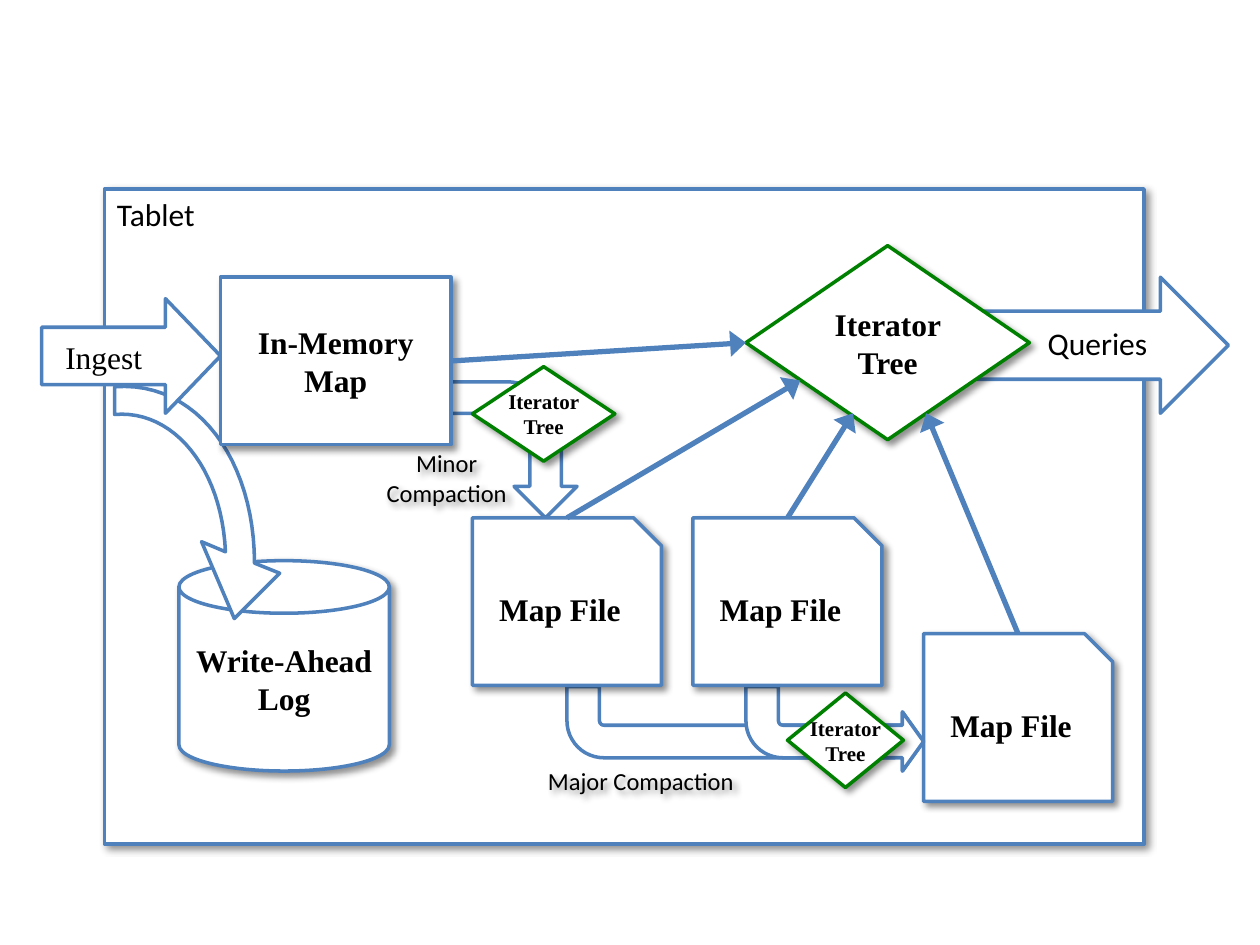
from lxml import etree
from pptx import Presentation
from pptx.dml.color import RGBColor
from pptx.enum.shapes import MSO_CONNECTOR, MSO_SHAPE
from pptx.enum.text import MSO_ANCHOR, PP_ALIGN
from pptx.oxml.ns import qn
from pptx.util import Inches, Pt

RECT, CAN, FILE = MSO_SHAPE.RECTANGLE, MSO_SHAPE.CAN, MSO_SHAPE.SNIP_1_RECTANGLE
DIAMOND = MSO_SHAPE.FLOWCHART_DECISION
ARROW, BENT = MSO_SHAPE.RIGHT_ARROW, MSO_SHAPE.BENT_ARROW
CENTER, LEFT = PP_ALIGN.CENTER, PP_ALIGN.LEFT
TOP, MIDDLE = MSO_ANCHOR.TOP, MSO_ANCHOR.MIDDLE
COLORS = {"blue": "4F81BD", "green": "008000", "white": "FFFFFF", "black": "000000"}
SERIF, SANS = "Times New Roman", "Calibri"
BOTTOM_BEND = (0.385, 0.35, 0.25, 0.4375)


def rgb(name):
    return RGBColor.from_string(COLORS[name])


def add_shadow(sp):
    effects = sp._element.spPr.find(qn("a:effectLst"))
    shadow = etree.SubElement(effects, qn("a:outerShdw"), blurRad=str(Pt(4)),
                              dist=str(Pt(3)), dir="2700000", rotWithShape="0")
    color = etree.SubElement(shadow, qn("a:srgbClr"), val=COLORS["black"])
    etree.SubElement(color, qn("a:alpha"), val="43000")


def style(sp, line="blue", shadow=False):
    sp.fill.solid()
    sp.fill.fore_color.rgb = rgb("white")
    sp.line.color.rgb = rgb(line)
    sp.line.width = Pt(2)
    sp.shadow.inherit = False
    if shadow:
        add_shadow(sp)


def write(sp, text, size=18, font=SERIF, bold=False, align=CENTER, anchor=MIDDLE):
    tf = sp.text_frame
    tf.word_wrap = True
    tf.vertical_anchor = anchor
    tf.text = text
    for p in tf.paragraphs:
        p.alignment = align
        p.font.size = Pt(size)
        p.font.name = font
        p.font.bold = bold
        p.font.color.rgb = rgb("black")


def add_node(s, kind, box, text, line="blue", **text_format):
    sp = s.shapes.add_shape(kind, *map(Inches, box))
    style(sp, line, shadow=True)
    write(sp, text, **text_format)
    return sp


def add_small_tree(s, box, text):
    sp = add_node(s, DIAMOND, box, text, "green", size=12, bold=True)
    sp.text_frame.margin_left = sp.text_frame.margin_right = 0
    return sp


def add_block_arrow(s, kind, box, adjustments=(), rotation=0, flip=False):
    sp = s.shapes.add_shape(kind, *map(Inches, box))
    style(sp)
    for i, value in enumerate(adjustments):
        sp.adjustments[i] = value
    sp.rotation = rotation
    if flip:
        sp._element.spPr.find(qn("a:xfrm")).set("flipV", "1")


def add_label(s, box, text, shadow=False, **text_format):
    sp = s.shapes.add_textbox(*map(Inches, box))
    write(sp, text, anchor=TOP, **text_format)
    if shadow:
        sp.shadow.inherit = False
        add_shadow(sp)


def curve(a, b, c, d, steps=24):
    """Points on a cubic Bezier curve."""
    ts = [i / steps for i in range(steps + 1)]
    return [tuple((1 - t) ** 3 * a[k] + 3 * t * (1 - t) ** 2 * b[k]
                  + 3 * t * t * (1 - t) * c[k] + t ** 3 * d[k] for k in (0, 1))
            for t in ts]


def add_log_arrow(s):
    outer = curve((0.91, 3.07), (1.57, 3.02), (2.02, 3.66), (2.02, 4.47))
    head = [(2.22, 4.55), (1.86, 4.91), (1.6, 4.3)]
    inner = curve((1.79, 4.38), (1.76, 3.72), (1.38, 3.25), (0.91, 3.29))
    # Freeform vertices are whole numbers, so they are given in EMU
    points = [(Inches(x), Inches(y)) for x, y in outer + head + inner]
    builder = s.shapes.build_freeform(*points[0])
    builder.add_line_segments(points[1:], close=True)
    style(builder.convert_to_shape())


def add_flow(s, source, site, tip, target=None):
    """Arrow from a side of source to tip, joined to target's left if given."""
    c = s.shapes.add_connector(MSO_CONNECTOR.STRAIGHT, 0, 0, *map(Inches, tip))
    c.begin_connect(source, site)
    if target is not None:
        c.end_connect(target, 1)
    c.line.color.rgb = rgb("blue")
    c.line.width = Pt(3)
    etree.SubElement(c.line._get_or_add_ln(), qn("a:tailEnd"), type="triangle", w="lg")
    etree.SubElement(c._element.spPr, qn("a:effectLst"))


def add_map_file(s, left, top):
    return add_node(s, FILE, (left, top, 1.5, 1.33), "Map File", bold=True)


def main():
    prs = Presentation()
    prs.slide_width, prs.slide_height = Inches(10), Inches(7.5)
    s = prs.slides.add_slide(prs.slide_layouts[6])

    add_node(s, RECT, (0.83, 1.5, 8.25, 5.2), "Tablet",
             font=SANS, align=LEFT, anchor=TOP)
    add_node(s, CAN, (1.42, 4.45, 1.67, 1.67), "Write-Ahead\nLog", bold=True)
    add_log_arrow(s)
    merged_file = add_map_file(s, 7.33, 5.03)

    for left in (4.5, 5.92):
        add_block_arrow(s, BENT, (left, 5.45, 7.33 - left, 0.67), BOTTOM_BEND, flip=True)
    add_label(s, (4.25, 6.03, 2.17, 0.33), "Major Compaction", shadow=True,
              size=14, font=SANS, align=LEFT)
    add_block_arrow(s, BENT, (3.54, 3.07, 1.08, 1), rotation=90)
    add_label(s, (2.92, 3.51, 1.25, 0.57), "Minor\nCompaction", shadow=True,
              size=14, font=SANS)
    add_block_arrow(s, ARROW, (0.33, 2.37, 1.42, 0.91), (0.5, 0.48))

    major_tree = add_small_tree(s, (6.25, 5.5, 0.92, 0.75), "Iterator\nTree")
    major_tree.text_frame.word_wrap = False
    add_label(s, (0.42, 2.63, 1, 0.4), "Ingest", align=LEFT)
    add_small_tree(s, (3.75, 2.91, 1.13, 0.75), "Iterator Tree")

    files = [add_map_file(s, left, 4.11) for left in (3.75, 5.5)] + [merged_file]
    memory = add_node(s, RECT, (1.75, 2.2, 1.83, 1.33), "In-Memory Map", bold=True)
    add_block_arrow(s, ARROW, (7.75, 2.2, 2, 1.08))
    add_label(s, (8.17, 2.52, 1.08, 0.4), "Queries", font=SANS)
    tree = add_node(s, DIAMOND, (5.92, 1.95, 2.25, 1.54), "Iterator Tree", "green",
                    bold=True)

    add_flow(s, memory, 3, (5.92, 2.72), tree)
    for file, tip in zip(files, [(6.35, 3.02), (6.77, 3.28), (7.35, 3.28)]):
        add_flow(s, file, 0, tip)

    prs.save("out.pptx")


if __name__ == "__main__":
    main()
